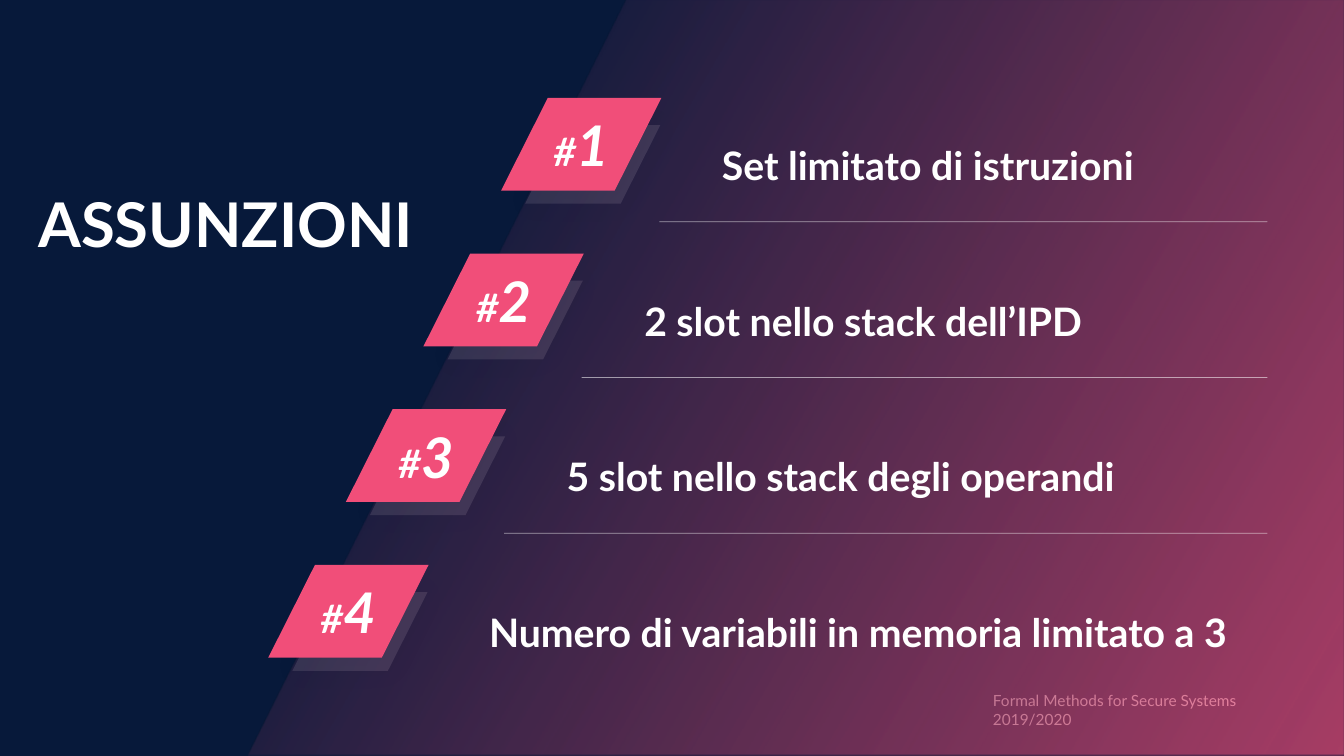
import pptx
import pptx.util
import pptx.dml.color
import pptx.enum.dml
import pptx.enum.shapes
import pptx.enum.text
import pptx.oxml
import pptx.oxml.ns
from lxml import etree

Inches = pptx.util.Inches
Pt = pptx.util.Pt
Shapes = pptx.enum.shapes.MSO_SHAPE
Anchor = pptx.enum.text.MSO_ANCHOR
Align = pptx.enum.text.PP_ALIGN

TITLE = "ASSUNZIONI"
FOOTER = "Formal Methods for Secure Systems 2019/2020"
ASSUMPTIONS = [
    "Set limitato di istruzioni",
    "2 slot nello stack dell’IPD",
    "5 slot nello stack degli operandi",
    "Numero di variabili in memoria limitato a 3",
]
COLORS = {"navy": "07193A", "pink": "F14E79", "white": "FFFFFF", "black": "000000"}
PANEL = [(6.22, 0), (13.33, 0), (13.33, 7.5), (2.47, 7.5)]
GRADIENT = [(0, "pink", 68), (0.84, "navy", 75)]
STEP_X, STEP_Y = -0.77, 1.545
RIGHT = 12.57
LAST_RIGHT = 12.8
SLANT = 0.504


def rgb(name):
    """Return the named colour."""
    return pptx.dml.color.RGBColor.from_string(COLORS[name])


def set_values(target, **values):
    """Set each given attribute on the target."""
    for name, value in values.items():
        setattr(target, name, value)


def add_child(parent, tag, **attributes):
    """Append a DrawingML element to the parent."""
    return etree.SubElement(parent, pptx.oxml.ns.qn("a:" + tag), attributes)


def set_opacity(parent, percent):
    """Give every colour under the parent an opacity."""
    for color in parent.iter(pptx.oxml.ns.qn("a:srgbClr")):
        add_child(color, "alpha", val=str(percent * 1000))


def add_span(para, text, size, **style):
    """Add a white Lato run to a paragraph."""
    span = para.add_run()
    span.text = text
    set_values(span.font, name="Lato", size=Pt(size), **style)
    span.font.color.rgb = rgb("white")


def add_text(page, bounds, text, size, bold=True, margin=0, anchor=Anchor.TOP):
    """Add a wrapped text box and return its paragraph."""
    frame = page.shapes.add_textbox(*map(Inches, bounds)).text_frame
    set_values(frame, word_wrap=True, vertical_anchor=anchor,
               margin_left=Inches(margin), margin_right=Inches(margin),
               margin_top=Inches(margin / 2), margin_bottom=Inches(margin / 2))
    add_span(frame.paragraphs[0], text, size, bold=bold)
    return frame.paragraphs[0]


def add_block(page, kind, bounds, color):
    """Add a flat shape without outline."""
    block = page.shapes.add_shape(kind, *map(Inches, bounds))
    block.shadow.inherit = False
    block.fill.solid()
    block.fill.fore_color.rgb = rgb(color)
    block.line.fill.background()
    return block


def add_ghost(page, left, top):
    """Add the translucent shape behind a badge."""
    ghost = add_block(page, Shapes.PARALLELOGRAM, (left, top, 1.34, 0.78), "white")
    ghost.adjustments[0] = SLANT
    properties = ghost.element.spPr
    set_opacity(properties, 37)
    effects = properties.find(pptx.oxml.ns.qn("a:effectLst"))
    shadow = add_child(effects, "outerShdw", blurRad=str(Pt(17)), dist="0")
    add_child(shadow, "srgbClr", val=COLORS["black"])
    set_opacity(shadow, 17)


def add_panel(page):
    """Add the slanted gradient panel."""
    corners = [(Inches(x), Inches(y)) for x, y in PANEL]
    builder = page.shapes.build_freeform(*corners[0])
    builder.add_line_segments(corners[1:], close=True)
    panel = builder.convert_to_shape()
    panel.shadow.inherit = False
    panel.line.fill.background()
    panel.fill.gradient()
    panel.fill.gradient_angle = 150
    for stop, (position, color, opacity) in zip(panel.fill.gradient_stops, GRADIENT):
        stop.position = position
        stop.color.rgb = rgb(color)
        set_opacity(stop.color._xFill, opacity)


def add_badge(page, left, top, number):
    """Add a numbered badge."""
    badge = add_block(page, Shapes.PARALLELOGRAM, (left, top, 1.59, 0.92), "pink")
    badge.adjustments[0] = SLANT
    badge.text_frame.vertical_anchor = Anchor.MIDDLE
    para = badge.text_frame.paragraphs[0]
    para.alignment = Align.CENTER
    for text, size in (("#", 28), (str(number), 40)):
        add_span(para, text, size, bold=True, italic=True)


def add_divider(page, left, top):
    """Add a thin translucent rule."""
    divider = page.shapes.add_connector(
        pptx.enum.shapes.MSO_CONNECTOR.STRAIGHT,
        *map(Inches, (left, top, RIGHT, top)))
    divider.line.width = Pt(0.5)
    divider.line.color.rgb = rgb("white")
    set_opacity(divider.element.spPr, 55)
    add_child(divider.element.spPr, "effectLst")


def main():
    """Build the slide of assumptions."""
    deck = pptx.Presentation()
    set_values(deck, slide_width=Inches(13.33), slide_height=Inches(7.5))
    page = deck.slides.add_slide(deck.slide_layouts[6])
    offsets = [(STEP_X * i, STEP_Y * i) for i in range(len(ASSUMPTIONS))]

    add_block(page, Shapes.RECTANGLE, (0, 0, 13.33, 7.5), "navy")
    add_text(page, (9.75, 6.81, 2.8, 0.45), FOOTER, 11, bold=False, margin=0.1)
    for x, y in reversed(offsets):
        add_ghost(page, 5.21 + x, 1.24 + y)
    add_text(page, (0.38, 1.93, 4.12, 0.73), TITLE, 44).line_spacing = 0.9
    add_panel(page)

    for number, (text, (x, y)) in enumerate(zip(ASSUMPTIONS, offsets), 1):
        last = number == len(ASSUMPTIONS)
        left = 7.16 + x
        width = (LAST_RIGHT if last else RIGHT) - left
        add_text(page, (left, 1.4 + y, width, 0.47), text, 28, anchor=Anchor.MIDDLE)
        add_badge(page, 4.97 + x, 0.97 + y, number)
        if not last:
            add_divider(page, 6.54 + x, 2.2 + y)

    deck.save("out.pptx")


if __name__ == "__main__":
    main()
